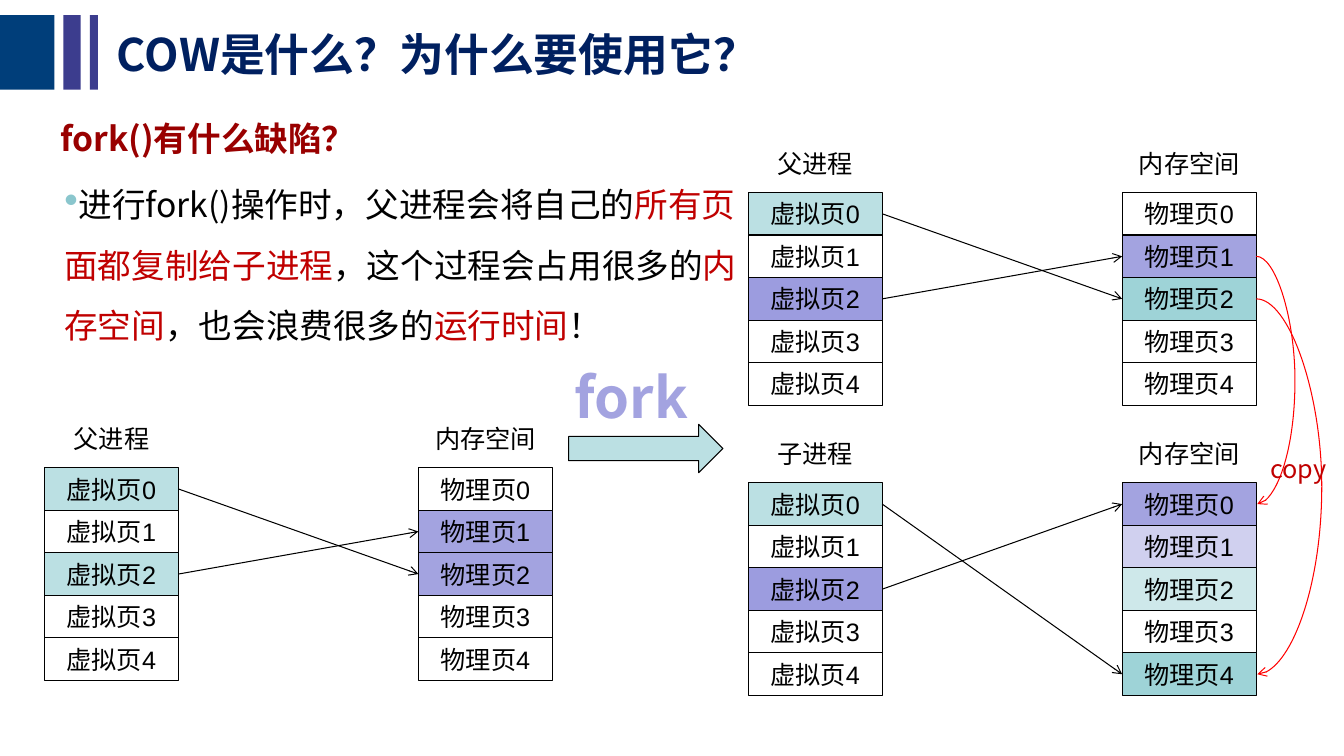
"""Builds the slide on what fork() copies and why copy-on-write is used."""
from dataclasses import dataclass

from lxml.etree import SubElement
from pptx import Presentation
from pptx.dml.color import RGBColor
from pptx.enum.shapes import MSO_CONNECTOR as Link, MSO_SHAPE as Preset
from pptx.enum.text import MSO_ANCHOR as Anchor, PP_ALIGN as Align
from pptx.oxml.ns import qn
from pptx.util import Inches, Pt


@dataclass(frozen=True)
class Theme:
    """Colours, fonts and type sizes."""
    black: str = "000000"
    white: str = "FFFFFF"
    navy: str = "003E7A"
    indigo: str = "3C3D8E"
    title: str = "002060"
    heading: str = "990000"
    accent: str = "C00000"
    bullet: str = "8AC6CD"
    copy_line: str = "FF0000"
    aqua: str = "BBE0E3"
    teal: str = "9ED3D7"
    violet: str = "9C9CDF"
    lilac: str = "A3A3E0"
    outline: str = "333399"
    sans: str = "Noto Sans CJK SC"
    page_font: str = "Arial"
    title_size: int = 32
    body_size: int = 24
    label_size: int = 18
    fork_size: int = 40
    rule: float = 0.75


T = Theme()

TITLE = "COW是什么？为什么要使用它？"
HEADING = "fork()有什么缺陷？"
BODY = [
    ("进行fork()操作时，父进程会将自己的", T.black),
    ("所有页面都复制给子进程", T.accent),
    ("，这个过程会占用很多的", T.black),
    ("内存空间", T.accent),
    ("，也会浪费很多的", T.black),
    ("运行时间", T.accent),
    ("！", T.black),
]
BARS = [(0, 0.54, T.navy), (0.63, 0.17, T.indigo), (0.89, 0.08, T.indigo)]
VIRTUAL, PHYSICAL, MEMORY = "虚拟页", "物理页", "内存空间"
PANELS = [
    dict(process="父进程", left=0.44, top=4.64, links=[(2, 1), (0, 2)],
         virtual={0: (T.aqua, 100), 2: (T.aqua, 100)},
         physical={1: (T.lilac, 100), 2: (T.lilac, 100)}),
    dict(process="父进程", left=7.42, top=1.91, links=[(2, 1), (0, 2)],
         virtual={0: (T.aqua, 100), 2: (T.violet, 100)},
         physical={1: (T.lilac, 100), 2: (T.teal, 100)}),
    dict(process="子进程", left=7.42, top=4.79, links=[(2, 0), (0, 4)],
         virtual={0: (T.aqua, 100), 2: (T.violet, 100)},
         physical={0: (T.lilac, 100), 1: (T.lilac, 50), 2: (T.teal, 50), 4: (T.teal, 100)}),
]
COPIES = [(1, 0, 0.39), (2, 4, 0.66)]

PAGES = 5
PAGE_W, PAGE_H = 1.33, 2.11 / PAGES
MEMORY_DX = 3.71
LABEL_W, LABEL_H, LABEL_RISE = 1.21, 0.4, 0.49
CURVE_W = 0.01


def rgb(colour):
    return RGBColor.from_string(colour)


def add_run(paragraph, text, size, colour, face=T.sans, bold=False):
    run = paragraph.add_run()
    run.text = text
    font = run.font
    font.size, font.bold, font.name = Pt(size), bold, face
    font.color.rgb = rgb(colour)
    SubElement(font._element, qn("a:ea"), typeface=T.sans)
    return run


def add_text(slide, box, runs, size, align=Align.LEFT, bold=False, wrap=True):
    frame = slide.shapes.add_textbox(*map(Inches, box)).text_frame
    frame.word_wrap = wrap
    paragraph = frame.paragraphs[0]
    paragraph.alignment = align
    for text, colour in runs:
        add_run(paragraph, text, size, colour, bold=bold)
    return paragraph


def add_block(slide, preset, box, fill, opacity=100, border=True):
    block = slide.shapes.add_shape(preset, *map(Inches, box))
    block.shadow.inherit = False
    block.fill.solid()
    block.fill.fore_color.rgb = rgb(fill)
    if opacity < 100:
        colour = block._element.spPr.find(".//" + qn("a:srgbClr"))
        SubElement(colour, qn("a:alpha"), val=str(opacity * 1000))
    if border:
        block.line.color.rgb = rgb(T.black)
        block.line.width = Pt(T.rule)
    else:
        block.line.fill.background()
    return block


def add_arrow(slide, kind, start, end, colour):
    arrow = slide.shapes.add_connector(kind, *map(Inches, start + end))
    arrow.line.color.rgb = rgb(colour)
    arrow.line.width = Pt(T.rule)
    SubElement(arrow._element.spPr.find(qn("a:ln")), qn("a:tailEnd"), type="arrow")
    SubElement(arrow._element.spPr, qn("a:effectLst"))
    return arrow


def page_middle(panel, page):
    return panel["top"] + (page + 0.5) * PAGE_H


def add_pages(slide, left, top, name, fills):
    for page in range(PAGES):
        fill, opacity = fills.get(page, (T.white, 100))
        box = (left, top + page * PAGE_H, PAGE_W, PAGE_H)
        frame = add_block(slide, Preset.RECTANGLE, box, fill, opacity).text_frame
        frame.vertical_anchor = Anchor.MIDDLE
        frame.paragraphs[0].alignment = Align.CENTER
        add_run(frame.paragraphs[0], f"{name}{page}", T.label_size, T.black, T.page_font)


def add_panel(slide, panel):
    left, top = panel["left"], panel["top"]
    memory_left = left + MEMORY_DX
    columns = [(left, VIRTUAL, panel["virtual"], panel["process"]),
               (memory_left, PHYSICAL, panel["physical"], MEMORY)]
    for column_left, name, fills, label in columns:
        add_pages(slide, column_left, top, name, fills)
        label_left = column_left + (PAGE_W - LABEL_W) / 2
        add_text(slide, (label_left, top - LABEL_RISE, LABEL_W, LABEL_H),
                 [(label, T.black)], T.label_size, Align.CENTER)
    for source, target in panel["links"]:
        add_arrow(slide, Link.STRAIGHT, (left + PAGE_W, page_middle(panel, source)),
                  (memory_left, page_middle(panel, target)), T.black)


def add_copies(slide, parent, child):
    edge = parent["left"] + MEMORY_DX + PAGE_W
    for source, target, bulge in COPIES:
        curve = add_arrow(slide, Link.CURVE, (edge, page_middle(parent, source)),
                          (edge + CURVE_W, page_middle(child, target)), T.copy_line)
        guides = curve._element.spPr.find(".//" + qn("a:avLst"))
        SubElement(guides, qn("a:gd"), name="adj1",
                   fmla=f"val {round(bulge / CURVE_W * 100000)}")
    add_text(slide, (12.5, 4.45, 0.84, LABEL_H), [("copy", T.accent)], T.label_size)


def add_heading_and_body(slide):
    heading = add_text(slide, (0.5, 0.92, 5.19, 0.77), [(HEADING, T.heading)],
                       T.body_size, bold=True)
    body = add_text(slide, (0.54, 1.58, 6.98, 2.02), BODY, T.body_size)
    heading.line_spacing = body.line_spacing = 1.5
    props = body._p.get_or_add_pPr()
    colour = SubElement(props, qn("a:buClr"))
    SubElement(colour, qn("a:srgbClr"), val=T.bullet)
    SubElement(props, qn("a:buSzPct"), val="120000")
    SubElement(props, qn("a:buChar"), char="•")


def add_title(slide):
    title = slide.shapes.title
    title.left, title.top, title.width, title.height = map(Inches, (1.06, 0.16, 9.18, 0.75))
    title.text_frame.vertical_anchor = Anchor.MIDDLE
    paragraph = title.text_frame.paragraphs[0]
    paragraph.alignment = Align.LEFT
    add_run(paragraph, TITLE, T.title_size, T.title, bold=True)


def add_fork(slide):
    add_block(slide, Preset.RIGHT_ARROW, (5.64, 4.21, 1.53, 0.48), T.aqua)
    fork = add_text(slide, (5.35, 3.55, 1.82, 0.66), [("fork", T.lilac)],
                    T.fork_size, Align.CENTER, bold=True, wrap=False)
    props = fork.runs[0].font._element
    outline = SubElement(props, qn("a:ln"), w=str(int(Pt(1.75))))
    SubElement(SubElement(outline, qn("a:solidFill")), qn("a:srgbClr"), val=T.outline)
    props.insert(0, outline)


def main():
    deck = Presentation()
    deck.slide_width, deck.slide_height = Inches(13.33), Inches(7.5)
    slide = deck.slides.add_slide(deck.slide_layouts[5])
    for left, width, fill in BARS:
        add_block(slide, Preset.RECTANGLE, (left, 0.15, width, 0.74), fill, border=False)
    add_title(slide)
    add_heading_and_body(slide)
    for panel in PANELS:
        add_panel(slide, panel)
    add_fork(slide)
    add_copies(slide, *PANELS[1:])
    deck.save("out.pptx")


if __name__ == "__main__":
    main()
